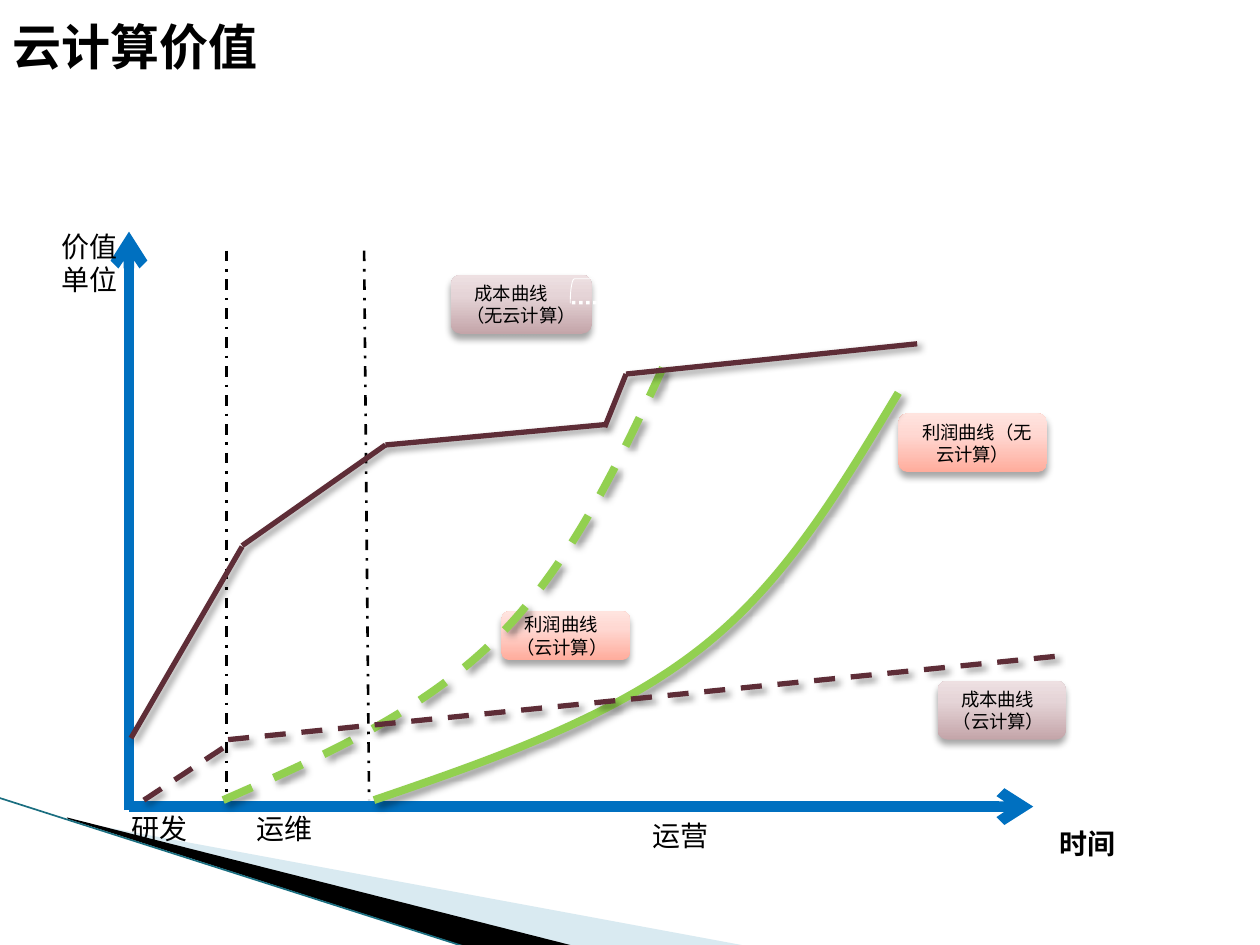
from lxml import etree
from pptx import Presentation
from pptx.dml.color import RGBColor
from pptx.enum.dml import MSO_LINE
from pptx.enum.shapes import MSO_CONNECTOR, MSO_SHAPE
from pptx.enum.text import MSO_ANCHOR, PP_ALIGN
from pptx.oxml import parse_xml
from pptx.oxml.ns import nsdecls, qn
from pptx.util import Cm, Pt

DASH, MIXED, DOTS = MSO_LINE.DASH, MSO_LINE.DASH_DOT, MSO_LINE.ROUND_DOT
STRAIGHT = MSO_CONNECTOR.STRAIGHT
ROUND, BRACE = MSO_SHAPE.ROUNDED_RECTANGLE, MSO_SHAPE.LEFT_BRACE
MIDDLE = MSO_ANCHOR.MIDDLE
LEFT, CENTER = PP_ALIGN.LEFT, PP_ALIGN.CENTER
FONT = "Noto Sans CJK SC"
HEX = {
    "ink": "000000", "white": "FFFFFF", "axis": "0070C0", "gain": "92D050",
    "cost": "5E2D37", "pale": "A0CBDC", "edge": "1A6E80",
}
TINTS = {
    "cost": ["C4A5A9", "E5D4D7", "EEE0E2"],
    "gain": ["FFAC9C", "FFD8D2", "FFE4DF"],
}


def style(item, color=None, width=1, dash=None, shade=None):
    if color:
        item.line.color.rgb = RGBColor.from_string(HEX[color])
        item.line.width = Pt(width)
        if dash:
            item.line.dash_style = dash
    else:
        item.line.fill.background()
    props = item._element.spPr
    glow = etree.SubElement(props, qn("a:effectLst"))
    if shade:
        angle, alpha = shade
        drop = etree.SubElement(
            glow, qn("a:outerShdw"), blurRad=str(Pt(4)), dist=str(Pt(3)),
            dir=str(angle * 60000), algn="ctr", rotWithShape="0")
        tone = etree.SubElement(drop, qn("a:srgbClr"), val=HEX["ink"])
        etree.SubElement(tone, qn("a:alpha"), val=str(alpha * 1000))


def write(frame, lines, size, bold=False, align=LEFT):
    for i, line in enumerate(lines):
        para = frame.paragraphs[0] if i == 0 else frame.add_paragraph()
        para.alignment = align
        run = para.add_run()
        run.text = line
        font = run.font
        font.name, font.size, font.bold = FONT, Pt(size), bold
        font.color.rgb = RGBColor.from_string(HEX["ink"])
        etree.SubElement(run._r.get_or_add_rPr(), qn("a:ea"), typeface=FONT)


deck = Presentation()
deck.slide_width, deck.slide_height = Cm(25.4), Cm(19.05)
slide = deck.slides.add_slide(deck.slide_layouts[6])
shapes = slide.shapes

wedges = [
    ("pale", 40, [(1.4, 16.54), (15.11, 19.08), (11.58, 19.08), (1.4, 16.51)]),
    ("ink", 100, [(1.35, 16.48), (11.61, 19.08), (9.45, 19.1), (1.37, 16.51)]),
]
for color, alpha, spots in wedges:
    spots = [(Cm(x), Cm(y)) for x, y in spots]
    pen = shapes.build_freeform(*spots[0])
    pen.add_line_segments(spots[1:], close=True)
    wedge = pen.convert_to_shape()
    wedge.fill.solid()
    wedge.fill.fore_color.rgb = RGBColor.from_string(HEX[color])
    tone = wedge._element.spPr.find(".//" + qn("a:srgbClr"))
    etree.SubElement(tone, qn("a:alpha"), val=str(alpha * 1000))
    style(wedge)

rules = [
    (-0.03, 16.08, 9.42, 19.1, "edge", 0.95, None),
    (2.6, 16.33, 2.6, 4.67, "axis", 6, None),
    (2.6, 16.26, 20.83, 16.26, "axis", 6, None),
    (4.57, 5.05, 4.57, 16.13, "ink", 1.5, MIXED),
    (7.34, 5.05, 7.44, 16.13, "ink", 1.5, MIXED),
]
for *ends, color, width, dash in rules:
    rule = shapes.add_connector(STRAIGHT, *map(Cm, ends))
    style(rule, color, width, dash)
    if color == "axis":
        etree.SubElement(rule.line._get_or_add_ln(), qn("a:tailEnd"), type="arrow")

labels = [
    (0, 0.2, 13.89, 1.45, ["云计算价值"], 28, True, True),
    (0.99, 4.5, 1.65, 1.63, ["价值", "单位"], 16, False, False),
    (21.11, 16.54, 2.59, 0.94, ["时间"], 16, True, True),
    (2.41, 16.23, 2.13, 0.94, ["研发"], 16, False, True),
    (4.93, 16.23, 2.13, 0.94, ["运维"], 16, False, True),
    (12.9, 16.38, 2.13, 0.94, ["运营"], 16, False, True),
]
for *place, lines, size, bold, wrap in labels:
    label = shapes.add_textbox(*map(Cm, place))
    label.text_frame.word_wrap = wrap
    write(label.text_frame, lines, size, bold)

boxes = [
    (9.09, 5.54, 2.84, 1.19, "cost", "成本曲线（无云计算）", LEFT),
    (10.11, 12.32, 2.59, 0.99, "gain", "利润曲线（云计算）", LEFT),
    (18.11, 8.33, 3, 1.19, "gain", "利润曲线（无云计算）", CENTER),
    (18.9, 13.72, 2.59, 1.19, "cost", "成本曲线（云计算）", LEFT),
]
for *place, tint, words, align in boxes:
    box = shapes.add_shape(ROUND, *map(Cm, place))
    style(box, shade=(90, 35))
    stops = "".join(
        f'<a:gs pos="{at}000"><a:srgbClr val="{tone}"/></a:gs>'
        for at, tone in zip((0, 65, 100), TINTS[tint]))
    box._element.spPr.find(qn("a:prstGeom")).addnext(parse_xml(
        f'<a:gradFill {nsdecls("a")} rotWithShape="1"><a:gsLst>{stops}</a:gsLst>'
        '<a:lin ang="16200000" scaled="0"/></a:gradFill>'))
    frame = box.text_frame
    frame.word_wrap, frame.vertical_anchor = True, MIDDLE
    write(frame, [words], 10.5, align=align)
    frame.paragraphs[0]._p.get_or_add_pPr().set("indent", str(Cm(0.17)))

dots = shapes.add_connector(STRAIGHT, Cm(11.53), Cm(6.1), Cm(16.28), Cm(6.12))
style(dots, "white", 2, DOTS)
brace = shapes.add_shape(BRACE, Cm(13.39), Cm(3.23), Cm(0.99), Cm(4.78))
brace.rotation = 90
brace.fill.background()
style(brace, "white", 0.5)

curves = [
    (None, [(7.54, 16.13), (9.91, 15.32), (12.27, 14.5), (14.05, 13.13),
            (15.8, 11.79), (16.94, 9.86), (18.11, 7.92)]),
    (DASH, [(4.5, 16.13), (6.53, 15.24), (8.53, 14.35), (10.03, 12.85),
            (11.53, 11.35), (12.52, 9.25), (13.49, 7.14)]),
]
for dash, spots in curves:
    spots = [(Cm(x), Cm(y)) for x, y in spots]
    pen = shapes.build_freeform(*spots[0])
    pen.add_line_segments(spots[1:], close=False)
    curve = pen.convert_to_shape()
    curve.fill.background()
    style(curve, "gain", 4.5, dash, (45, 40))
    trace = curve._element.spPr.find(".//" + qn("a:path"))
    legs = trace.findall(qn("a:lnTo"))
    for i in range(0, len(legs), 3):
        bend = etree.SubElement(trace, qn("a:cubicBezTo"))
        for leg in legs[i:i + 3]:
            bend.append(leg[0])
            trace.remove(leg)

costs = [
    (2.9, 16.13, 4.6, 15.01, DASH),
    (4.6, 14.91, 21.49, 13.21, DASH),
    (2.64, 14.88, 4.88, 11.02, None),
    (4.88, 11, 7.77, 8.97, None),
    (7.77, 8.97, 12.19, 8.56, None),
    (12.19, 8.61, 12.62, 7.54, None),
    (12.62, 7.54, 18.49, 6.93, None),
]
for *ends, dash in costs:
    cost = shapes.add_connector(STRAIGHT, *map(Cm, ends))
    style(cost, "cost", 3, dash, (45, 40))

deck.save("out.pptx")
